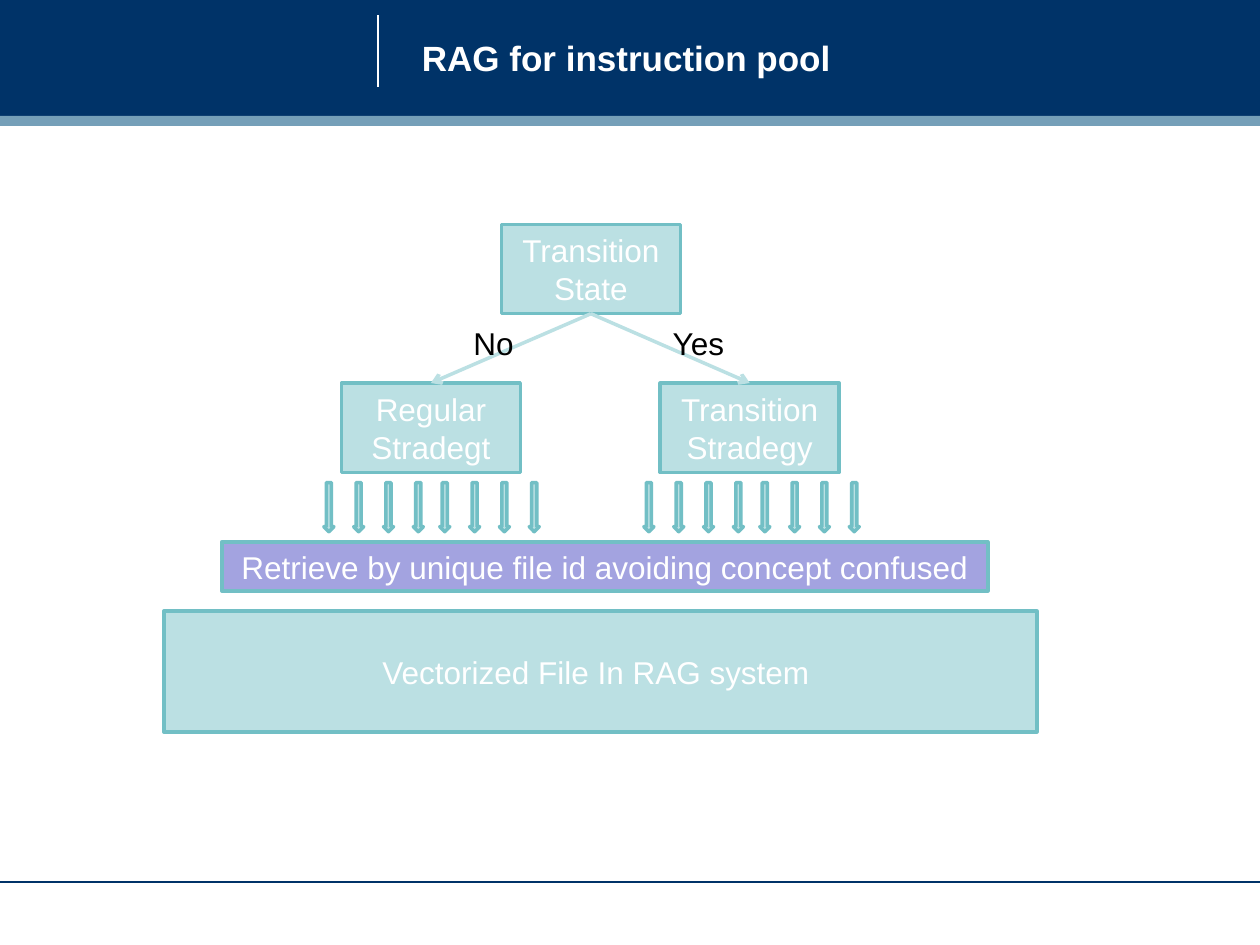
from lxml.etree import SubElement
from pptx import Presentation
from pptx.dml.color import RGBColor
from pptx.enum.shapes import MSO_CONNECTOR, MSO_SHAPE as SHAPE
from pptx.enum.text import MSO_ANCHOR as ANCHOR, PP_ALIGN as ALIGN
from pptx.oxml.ns import qn
from pptx.util import Inches, Pt

COLORS = {
    "navy": "003368", "band": "759FB8", "white": "FFFFFF", "black": "000000",
    "aqua": "BBE0E3", "teal": "72BFC5", "lilac": "A3A3E0",
}

# Content: text, (left, top, width, height), fill
TITLE = ("RAG for instruction pool", (3.25, 0.08, 6.33, 0.75))
BARS = [((0, 0, 10, 0.92), "navy"), ((0, 0.92, 10, 0.08), "band")]
RULES = [((3, 0.12), (3, 0.69), "white"), ((0, 7), (10, 7), "navy")]
NODES = {
    "state": ("Transition State", (3.98, 1.78, 1.42, 0.71), "aqua"),
    "regular": ("Regular Stradegt", (2.71, 3.04, 1.42, 0.71), "aqua"),
    "transition": ("Transition Stradegy", (5.24, 3.04, 1.42, 0.71), "aqua"),
    "files": ("Vectorized File In RAG system ", (1.3, 4.85, 6.93, 0.96), "aqua"),
    "retrieve": ("Retrieve by unique file id avoiding concept confused",
                 (1.76, 4.3, 6.08, 0.39), "lilac"),
}
BRANCHES = [("state", "regular"), ("state", "transition")]
LABELS = [("Yes", (5.24, 2.52, 0.81, 0.4)), ("No", (3.66, 2.52, 3.33, 0.4))]

# Small down arrows: two sets under each strategy, four arrows per set
ARROW_SETS = [2.57, 3.49, 5.11, 6.03]
ARROWS_PER_SET = 4
ARROW_STEP = 0.71 / 3
ARROW_TOP, ARROW_WIDTH, ARROW_HEIGHT = 3.83, 0.08, 0.39


def color(name):
    return RGBColor.from_string(COLORS[name])


def write(shape, text, size, ink, align, anchor, bold=False):
    frame = shape.text_frame
    frame.word_wrap = True
    frame.vertical_anchor = anchor
    para = frame.paragraphs[0]
    para.text = text
    para.alignment = align
    font = para.font
    font.name, font.size, font.bold = "Arial", Pt(size), bold
    font.color.rgb = color(ink)


def add_shape(page, kind, place, fill, line=None):
    shape = page.shapes.add_shape(kind, *map(Inches, place))
    shape.shadow.inherit = False
    shape.fill.solid()
    shape.fill.fore_color.rgb = color(fill)
    if line:
        shape.line.color.rgb = color(line)
        shape.line.width = Pt(2)
    else:
        shape.line.fill.background()
    return shape


def add_text(page, text, place, size, ink, anchor, bold=False):
    box = page.shapes.add_textbox(*map(Inches, place))
    write(box, text, size, ink, ALIGN.LEFT, anchor, bold)


def add_line(page, start, end, ink, width):
    line = page.shapes.add_connector(
        MSO_CONNECTOR.STRAIGHT, *map(Inches, (*start, *end)))
    line.line.color.rgb = color(ink)
    line.line.width = Pt(width)
    SubElement(line._element.spPr, qn("a:effectLst"))
    return line


def main():
    deck = Presentation()
    deck.slide_width, deck.slide_height = Inches(10), Inches(7.5)
    page = deck.slides.add_slide(deck.slide_layouts[6])

    # Header and footer
    for place, fill in BARS:
        add_shape(page, SHAPE.RECTANGLE, place, fill)
    for start, end, ink in RULES:
        add_line(page, start, end, ink, 0.75)
    add_text(page, *TITLE, 20, "white", ANCHOR.MIDDLE, bold=True)

    # Boxes
    boxes = {}
    for name, (text, place, fill) in NODES.items():
        boxes[name] = add_shape(page, SHAPE.RECTANGLE, place, fill, "teal")
        write(boxes[name], text, 18, "white", ALIGN.CENTER, ANCHOR.MIDDLE)

    # Decision branches, from bottom middle to top middle
    for source, target in BRANCHES:
        branch = add_line(page, (0, 0), (1, 1), "aqua", 2)
        branch.begin_connect(boxes[source], 2)
        branch.end_connect(boxes[target], 0)
        SubElement(branch.line._get_or_add_ln(), qn("a:tailEnd"), type="arrow")
    for text, place in LABELS:
        add_text(page, text, place, 18, "black", ANCHOR.TOP)

    # Retrieval arrows
    for left in ARROW_SETS:
        for index in range(ARROWS_PER_SET):
            place = (left + index * ARROW_STEP, ARROW_TOP, ARROW_WIDTH, ARROW_HEIGHT)
            add_shape(page, SHAPE.DOWN_ARROW, place, "aqua", "teal")

    deck.save("out.pptx")


if __name__ == "__main__":
    main()
